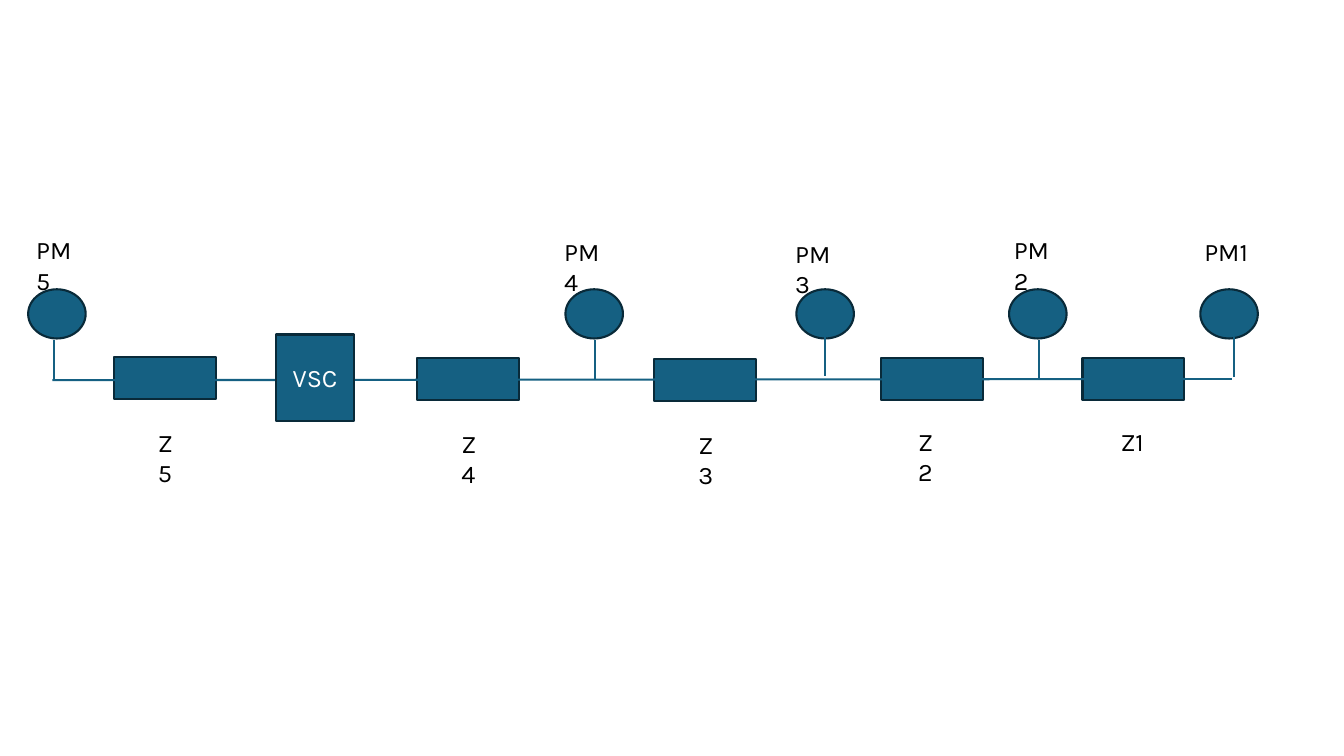
import pptx
import pptx.dml.color
import pptx.enum.shapes
import pptx.enum.text
import pptx.oxml.ns
import pptx.util
import lxml.etree

Cm = pptx.util.Cm
Pt = pptx.util.Pt
SHAPE = pptx.enum.shapes.MSO_SHAPE


class Diagram:
    """Draw the parts of a feeder diagram on one slide in a shared style."""

    colors = {"fill": "156082", "edge": "092A39", "text": "000000", "light": "FFFFFF"}
    font = "Karla"
    size = Pt(18)
    weight = Pt(1.5)

    def __init__(self, slide):
        self.s = slide

    def color(self, name):
        return pptx.dml.color.RGBColor.from_string(self.colors[name])

    def add_text(self, tf, text, color):
        p = tf.paragraphs[0]
        r = p.add_run()
        r.text = text
        r.font.name = self.font
        r.font.size = self.size
        r.font.color.rgb = self.color(color)
        return p

    def shape(self, kind, x, y, w, h, text=None):
        sp = self.s.shapes.add_shape(kind, Cm(x), Cm(y), Cm(w), Cm(h))
        sp.shadow.inherit = False
        sp.fill.solid()
        sp.fill.fore_color.rgb = self.color("fill")
        sp.line.color.rgb = self.color("edge")
        sp.line.width = self.weight
        if text:
            sp.text_frame.vertical_anchor = pptx.enum.text.MSO_ANCHOR.MIDDLE
            p = self.add_text(sp.text_frame, text, "light")
            p.alignment = pptx.enum.text.PP_ALIGN.CENTER

    def label(self, text, x, y, w):
        sp = self.s.shapes.add_textbox(Cm(x), Cm(y), Cm(w), Cm(1.02))
        tf = sp.text_frame
        tf.word_wrap = False
        tf.auto_size = pptx.enum.text.MSO_AUTO_SIZE.SHAPE_TO_FIT_TEXT
        self.add_text(tf, text, "text")

    def line(self, x1, y1, x2, y2):
        straight = pptx.enum.shapes.MSO_CONNECTOR.STRAIGHT
        c = self.s.shapes.add_connector(straight, Cm(x1), Cm(y1), Cm(x2), Cm(y2))
        c.line.color.rgb = self.color("fill")
        c.line.width = self.weight
        lxml.etree.SubElement(c._element.spPr, pptx.oxml.ns.qn("a:effectLst"))


IMPEDANCES = [
    ("Z5", 2.87, 8.99, 3.73, 10.64),
    ("Z4", 10.52, 9.02, 11.38, 10.67),
    ("Z3", 16.48, 9.04, 17.35, 10.69),
    ("Z2", 22.2, 9.02, 22.89, 10.62),
    ("Z1", 27.28, 9.02, 27.99, 10.62),
]
METERS = [
    ("PM1", 30.25, 30.1, 5.84, 31.09, 8.48),
    ("PM2", 25.43, 25.3, 5.79, 26.19, 8.56),
    ("PM3", 20.07, 19.79, 5.87, 20.8, 8.46),
    ("PM4", 14.25, 13.97, 5.82, 14.99, 8.56),
    ("PM5", 0.71, 0.66, 5.79, 1.37, 8.56),
]


def main():
    prs = pptx.Presentation()
    prs.slide_width, prs.slide_height = Cm(33.87), Cm(19.05)
    d = Diagram(prs.slides.add_slide(prs.slide_layouts[6]))

    for name, x, y, label_x, label_y in IMPEDANCES:
        d.shape(SHAPE.RECTANGLE, x, y, 2.57, 1.07)
        d.label(name, label_x, label_y, 1.19)
    d.line(1.32, 9.58, 29.87, 9.55)
    d.line(29.87, 9.55, 31.06, 9.55)
    for name, x, label_x, label_y, stem_x, stem_y in METERS:
        d.shape(SHAPE.OVAL, x, 7.29, 1.45, 1.24)
        d.label(name, label_x, label_y, 1.73)
        d.line(stem_x, stem_y, stem_x, stem_y + 1.02)
    d.shape(SHAPE.RECTANGLE, 6.96, 8.43, 1.96, 2.18, "VSC")
    prs.save("out.pptx")


if __name__ == "__main__":
    main()
